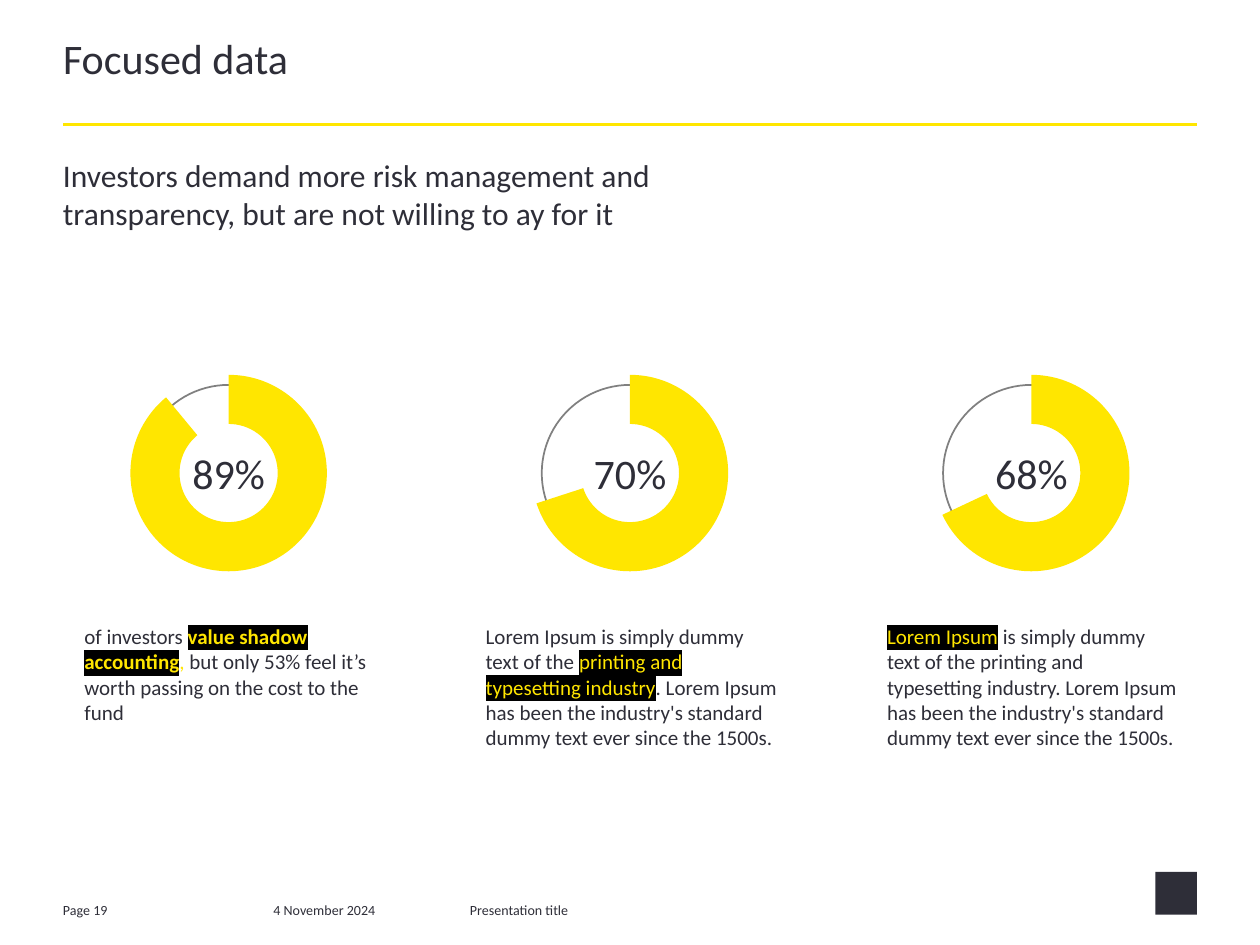
"""Build the slide of three doughnut charts with captions."""
import pptx
import pptx.chart.data
import pptx.dml.color
import pptx.enum.chart
import pptx.enum.shapes
import pptx.enum.text
import pptx.oxml
import pptx.util
from lxml import etree

HEX = {"ink": "2E2E38", "gold": "FFE600", "grey": "808080", "black": "000000", "white": "FFFFFF"}
FONT = "Calibri"
TITLE = "Focused data"
LEAD = "Investors demand more risk management and\vtransparency, but are not willing to ay for it"
FOOT = [(0.5, 0.6, "Page 19"), (2.17, 1.1, "4 November 2024"), (3.73, 3.2, "Presentation title")]
ITEMS = [
    (89, [("of investors ", "plain"), ("value shadow accounting", "strong"), (", ", "gold"),
          ("but only 53% feel it’s worth passing on the cost to the fund", "plain")]),
    (70, [("Lorem Ipsum is simply dummy text of the ", "plain"),
          ("printing and typesetting industry", "mark"),
          (". Lorem Ipsum has been the industry's standard dummy text ever since the 1500s.", "plain")]),
    (68, [("Lorem Ipsum", "mark"),
          (" is simply dummy text of the printing and typesetting industry. Lorem Ipsum has been "
           "the industry's standard dummy text ever since the 1500s.", "plain")]),
]
LOOKS = {"plain": ("ink", False, False), "gold": ("gold", False, False),
         "mark": ("gold", False, True), "strong": ("gold", True, True)}
WIDE, HIGH, EDGE = 10, 7.5, 0.5
CELL, TALL, TOP, RING, DISC = 2.63, 1.83, 2.84, 1.4, 1.56
STEP = (WIDE - 2 * EDGE - CELL) / (len(ITEMS) - 1)
MID = TOP + TALL / 2
inch = pptx.util.Inches


def color(name):
    return pptx.dml.color.RGBColor.from_string(HEX[name])


def place(*spans):
    return [inch(span) for span in spans]


def style(run, size, look="plain"):
    tint, bold, mark = LOOKS[look]
    font = run.font
    font.name, font.size, font.bold = FONT, pptx.util.Pt(size), bold
    font.color.rgb = color(tint)
    if mark:
        fill = run._r.rPr.find(pptx.oxml.ns.qn("a:solidFill"))
        glow = etree.Element(pptx.oxml.ns.qn("a:highlight"))
        etree.SubElement(glow, pptx.oxml.ns.qn("a:srgbClr"), val=HEX["black"])
        fill.addnext(glow)


def setup(frame, anchor):
    frame.margin_left = frame.margin_right = frame.margin_top = frame.margin_bottom = 0
    frame.word_wrap = True
    frame.auto_size = pptx.enum.text.MSO_AUTO_SIZE.NONE
    frame.vertical_anchor = anchor


def write(slide, spot, parts, size, anchor="TOP", align="LEFT", gap=0.2):
    frame = slide.shapes.add_textbox(*place(*spot)).text_frame
    setup(frame, pptx.enum.text.MSO_ANCHOR[anchor])
    para = frame.paragraphs[0]
    para.alignment = pptx.enum.text.PP_ALIGN[align]
    para.space_before = pptx.util.Pt(gap * size)
    if isinstance(parts, str):
        para.text = parts
        for run in para.runs:
            style(run, size)
        return
    for text, look in parts:
        run = para.add_run()
        run.text = text
        style(run, size, look)


def ring(slide, left, value):
    disc = slide.shapes.add_shape(
        pptx.enum.shapes.MSO_SHAPE.OVAL,
        *place(left + (CELL - RING) / 2, MID - RING / 2, RING, RING))
    disc.shadow.inherit = False
    disc.fill.background()
    disc.line.color.rgb = color("grey")
    disc.line.width = pptx.util.Pt(1)


def donut(slide, left, value):
    data = pptx.chart.data.CategoryChartData()
    data.categories = ["1", "2"]
    data.add_series("Series 1", [value, 100 - value])
    chart = slide.shapes.add_chart(
        pptx.enum.chart.XL_CHART_TYPE.DOUGHNUT, *place(left, TOP, CELL, TALL), data).chart
    chart.has_legend = chart.has_title = False
    chart.font.name, chart.font.size = FONT, pptx.util.Pt(10)
    chart.font.color.rgb = color("white")
    plot = chart.plots[0]
    plot.vary_by_categories = False
    points = plot.series[0].points
    points[0].format.fill.solid()
    points[0].format.fill.fore_color.rgb = color("gold")
    points[1].format.fill.background()
    for index in range(2):
        points[index].format.line.fill.background()
    qn = pptx.oxml.ns.qn
    area = chart._chartSpace.find(".//" + qn("c:plotArea"))
    area.find(".//" + qn("c:holeSize")).set("val", "85")
    for old in area.findall(qn("c:layout")):
        area.remove(old)
    layout = etree.Element(qn("c:layout"))
    area.insert(0, layout)
    manual = etree.SubElement(layout, qn("c:manualLayout"))
    wide, high = DISC / CELL, DISC / TALL
    rules = [("layoutTarget", "inner"), ("xMode", "edge"), ("yMode", "edge"),
             ("x", (1 - wide) / 2), ("y", (1 - high) / 2), ("w", wide), ("h", high)]
    for tag, val in rules:
        etree.SubElement(manual, qn("c:" + tag), val=str(val))


def main():
    deck = pptx.Presentation()
    deck.slide_width, deck.slide_height = place(WIDE, HIGH)
    slide = deck.slides.add_slide(deck.slide_layouts[5])

    title = slide.shapes.title
    title.left, title.top, title.width, title.height = place(EDGE, 0.32, WIDE - 2 * EDGE, 0.65)
    title.text_frame.text = TITLE
    setup(title.text_frame, pptx.enum.text.MSO_ANCHOR.TOP)
    para = title.text_frame.paragraphs[0]
    para.alignment, para.line_spacing = pptx.enum.text.PP_ALIGN.LEFT, 0.85
    style(para.runs[0], 24)

    rule = slide.shapes.add_connector(
        pptx.enum.shapes.MSO_CONNECTOR.STRAIGHT, *place(EDGE, 0.99, WIDE - EDGE, 0.99))
    rule.line.color.rgb = color("gold")
    rule.line.width = pptx.util.Pt(1.5)
    etree.SubElement(rule._element.spPr, pptx.oxml.ns.qn("a:effectLst"))

    write(slide, (EDGE, 1.24, WIDE - 2 * EDGE, 5.29), LEAD, 18)
    for index, (value, parts) in enumerate(ITEMS):
        left = EDGE + index * STEP
        ring(slide, left, value)
        donut(slide, left, value)
        write(slide, (left + 0.17, 4.95, 2.33, 0.79), parts, 12)
        write(slide, (left + 0.99, 3.6, 0.65, 0.3), f"{value}%", 24, "MIDDLE", "CENTER")

    for left, wide, text in FOOT:
        write(slide, (left, 7.12, wide, 0.2), text, 8, "MIDDLE", gap=0)
    badge = slide.shapes.add_shape(
        pptx.enum.shapes.MSO_SHAPE.RECTANGLE, *place(9.17, 6.92, 0.33, 0.34))
    badge.shadow.inherit = False
    badge.fill.solid()
    badge.fill.fore_color.rgb = color("ink")
    badge.line.fill.background()
    deck.save("out.pptx")


if __name__ == "__main__":
    main()
